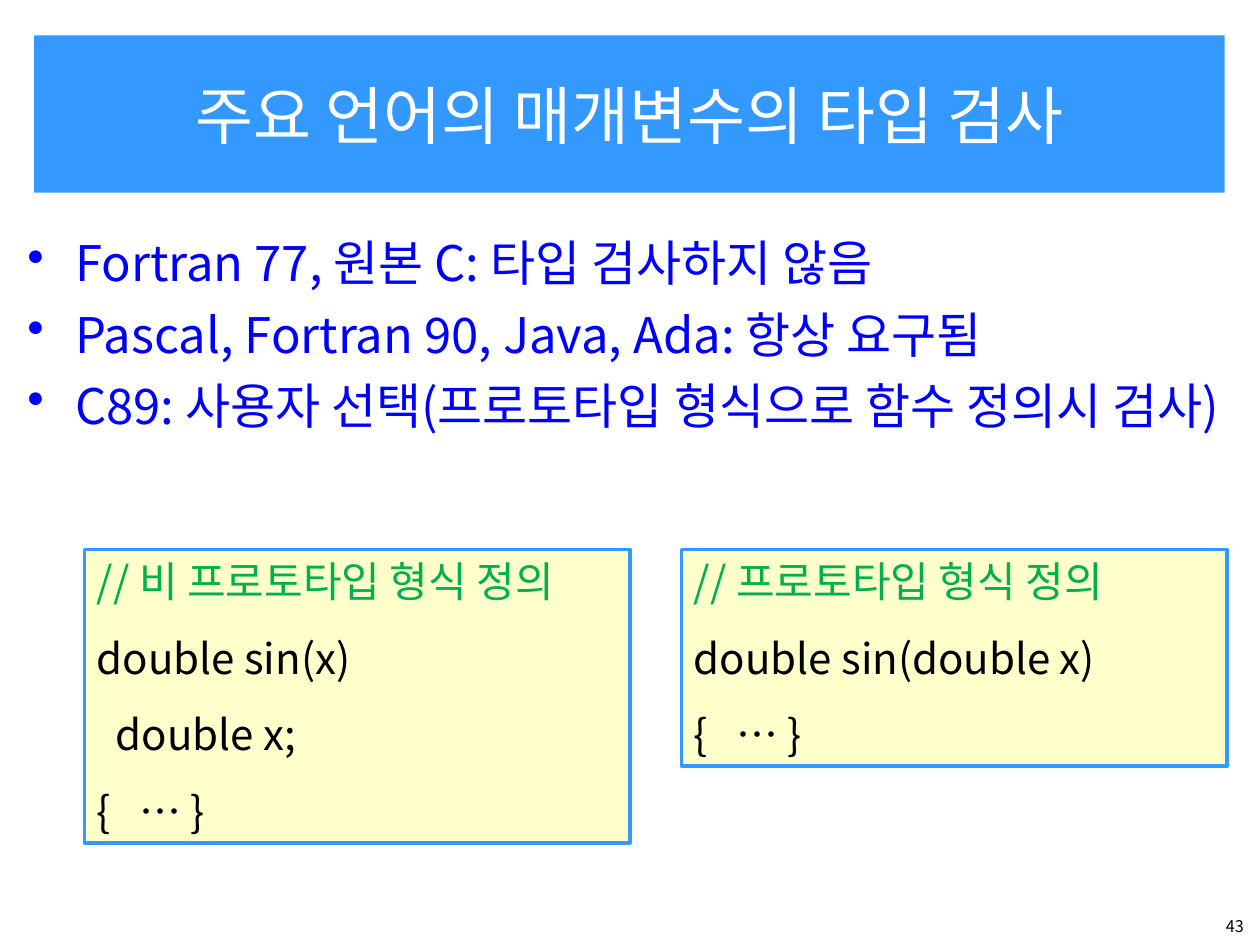
from pptx import Presentation
from pptx.dml.color import RGBColor
from pptx.enum.shapes import MSO_SHAPE as Shape
from pptx.enum.text import MSO_ANCHOR as Anchor, PP_ALIGN as Align
from pptx.oxml.ns import qn
from pptx.util import Inches, Pt
from lxml.etree import SubElement

COLORS = {
    "banner": "3399FF", "title": "FFFFFF", "points": "0000FF",
    "code_fill": "FFFFCC", "comment": "00B050", "code": "000000",
}
FONT = "Noto Sans CJK KR"
COLUMNS, ROWS = 100, 75  # grid units of a tenth of an inch


def rgb(name):
    return RGBColor.from_string(COLORS[name])


class Deck:
    def __init__(self):
        self.prs = Presentation()
        self.prs.slide_width, self.prs.slide_height = Inches(10), Inches(7.5)
        self.slide = self.prs.slides.add_slide(self.prs.slide_layouts[6])

    def place(self, left, top, width, height):
        """Turn grid columns and rows into slide lengths."""
        col = self.prs.slide_width / COLUMNS
        row = self.prs.slide_height / ROWS
        return [round(n * unit) for n, unit in
                zip((left, top, width, height), (col, row, col, row))]

    def box(self, area, fill, line=None):
        rect = self.slide.shapes.add_shape(Shape.RECTANGLE, *self.place(*area))
        rect.shadow.inherit = False
        rect.fill.solid()
        rect.fill.fore_color.rgb = rgb(fill)
        if line:
            rect.line.color.rgb = rgb(line)
            rect.line.width = Pt(2)
        else:
            rect.line.fill.background()
        return rect.text_frame

    def text(self, area):
        return self.slide.shapes.add_textbox(*self.place(*area)).text_frame

    def fill_lines(self, frame, lines, size, colors, align=Align.LEFT,
                   before=0, bullet=False, anchor=Anchor.TOP):
        frame.word_wrap = True
        frame.vertical_anchor = anchor
        for i, (line, color) in enumerate(zip(lines, colors)):
            para = frame.add_paragraph() if i else frame.paragraphs[0]
            run = para.add_run()
            run.text = line
            para.alignment = align
            if i:
                para.space_before = Pt(before)
            if bullet:
                props = para._p.get_or_add_pPr()
                props.set("marL", str(Inches(0.38)))
                props.set("indent", str(-Inches(0.38)))
                SubElement(props, qn("a:buChar"), char="•")
            para.font.size = Pt(size)
            para.font.name = FONT
            para.font.color.rgb = rgb(color)
            SubElement(run._r.get_or_add_rPr(), qn("a:ea"), typeface=FONT)

    def title(self, area, line):
        self.fill_lines(self.box(area, "banner"), [line], 36, ["title"],
                        Align.CENTER, anchor=Anchor.MIDDLE)

    def points(self, area, lines):
        self.fill_lines(self.text(area), lines, 28, ["points"] * len(lines),
                        before=7, bullet=True)

    def code(self, area, lines):
        """First line is a comment, the rest is plain code."""
        colors = ["comment"] + ["code"] * (len(lines) - 1)
        self.fill_lines(self.box(area, "code_fill", "banner"), lines, 24,
                        colors, before=15)

    def number(self, area, value):
        self.fill_lines(self.text(area), [value], 9.2, ["code"], Align.RIGHT)


def main():
    deck = Deck()
    deck.title((2.7, 2.8, 94.5, 12.5), "주요 언어의 매개변수의 타입 검사")
    deck.points((1.2, 18, 97.6, 55.4), [
        "Fortran 77, 원본 C: 타입 검사하지 않음",
        "Pascal, Fortran 90, Java, Ada: 항상 요구됨",
        "C89: 사용자 선택(프로토타입 형식으로 함수 정의시 검사)",
    ])
    deck.number((93, 72.2, 6.7, 2.8), "43")

    definitions = [
        (23.3, ["// 비 프로토타입 형식 정의", "double sin(x)",
                "  double x;", "{   … }"]),
        (17.2, ["// 프로토타입 형식 정의", "double sin(double x)",
                "{   … }"]),
    ]
    for i, (height, lines) in enumerate(definitions):
        deck.code((6.7 + i * 47.4, 43.6, 43.3, height), lines)
    deck.prs.save("out.pptx")


if __name__ == "__main__":
    main()
